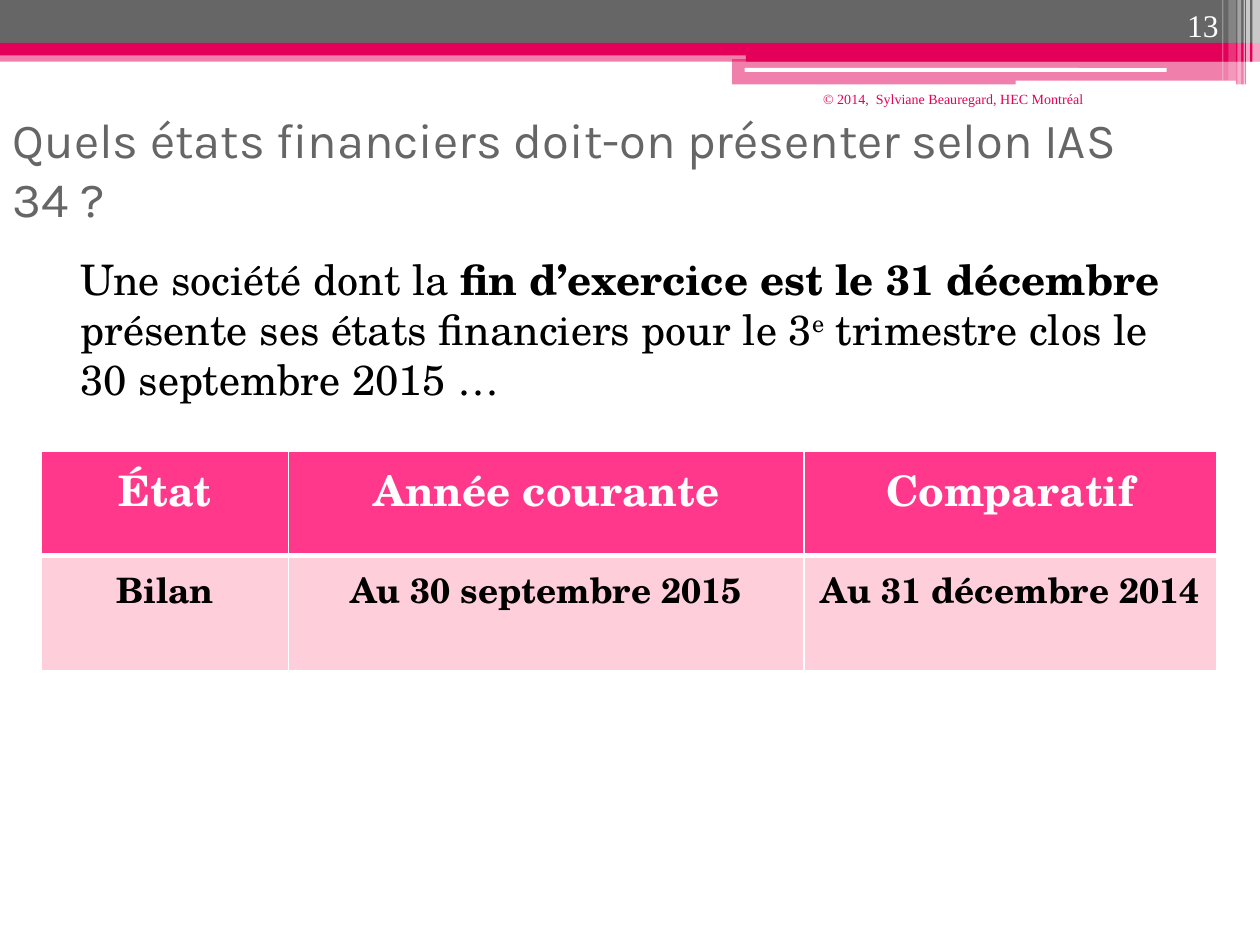
from dataclasses import dataclass

from lxml import etree
from pptx import Presentation
from pptx.dml.color import RGBColor
from pptx.enum.shapes import MSO_SHAPE
from pptx.enum.text import MSO_ANCHOR, PP_ALIGN
from pptx.oxml.ns import qn
from pptx.util import Inches, Pt

RECT = MSO_SHAPE.RECTANGLE
ROUND = MSO_SHAPE.ROUNDED_RECTANGLE
LEFT, CENTER, RIGHT = PP_ALIGN.LEFT, PP_ALIGN.CENTER, PP_ALIGN.RIGHT
TOP, MIDDLE, BOTTOM = MSO_ANCHOR.TOP, MSO_ANCHOR.MIDDLE, MSO_ANCHOR.BOTTOM

SANS, SCHOOL, TIMES = "Karla", "TeX Gyre Schola", "Times New Roman"
GREY, ROSE, WHITE, BLACK = "666666", "E40059", "FFFFFF", "000000"
HEAD, PALE = "FF388C", "FFCEDB"


@dataclass
class Band:
    left: float
    top: float
    width: float
    height: float
    color: str
    alpha: int = 100
    kind: int = RECT


@dataclass
class Part:
    text: str
    bold: bool = False
    base: int = 0


@dataclass
class Row:
    height: float
    texts: tuple
    size: int
    color: str
    fill: str
    upper: int
    lower: int


BANDS = [
    Band(0, 0.4, 10, 0.09, ROSE, 50),
    Band(0, 0, 10, 0.34, GREY),
    Band(0, 0.34, 10, 0.1, ROSE),
    Band(5.92, 0.39, 4.08, 0.1, ROSE),
    Band(5.81, 0.47, 4.08, 0.2, ROSE, 50),
    Band(5.91, 0.54, 3.35, 0.03, WHITE, kind=ROUND),
    Band(8.06, 0.64, 1.75, 0.04, WHITE, kind=ROUND),
    Band(9.94, 0, 0.06, 0.68, WHITE, 65),
    Band(9.89, 0, 0.03, 0.68, WHITE, 65),
    Band(9.87, 0, 0.01, 0.68, WHITE, 60),
    Band(9.82, 0, 0.03, 0.68, WHITE, 40),
    Band(9.75, 0, 0.06, 0.64, WHITE, 20),
    Band(9.7, 0, 0.01, 0.64, WHITE, 30),
]
INTRO = [
    Part("Une société dont la "),
    Part("fin d’exercice est le 31 décembre ", bold=True),
    Part("présente ses états financiers pour le 3"),
    Part("e", base=30),
    Part(" trimestre clos le 30 septembre 2015 …"),
]
COLS = [1.96, 4.09, 3.28]
ROWS = [
    Row(0.83, ("État", "Année courante", "Comparatif"), 24, WHITE, HEAD, 1, 3),
    Row(0.91, ("Bilan", "Au 30 septembre 2015", "Au 31 décembre 2014"),
        20, BLACK, PALE, 3, 1),
]


def paint(target, color: str) -> None:
    target.solid()
    target.fore_color.rgb = RGBColor.from_string(color)


def style(font, size: int, face: str, color: str, bold: bool = False) -> None:
    font.size = Pt(size)
    font.name = face
    font.bold = bold
    font.color.rgb = RGBColor.from_string(color)


def draw_band(slide, band: Band) -> None:
    box = [Inches(n) for n in (band.left, band.top, band.width, band.height)]
    shape = slide.shapes.add_shape(band.kind, *box)
    shape.shadow.inherit = False
    shape.line.fill.background()
    paint(shape.fill, band.color)
    if band.alpha < 100:
        tint = shape.fill._xPr.find(qn("a:solidFill"))[0]
        etree.SubElement(tint, qn("a:alpha"), val=str(band.alpha * 1000))


def write(frame, parts: list[Part], size: int, face: str, color: str,
          align: int = LEFT, anchor: int = TOP) -> None:
    frame.word_wrap = True
    frame.vertical_anchor = anchor
    para = frame.paragraphs[0]
    para.alignment = align
    for part in parts:
        run = para.add_run()
        run.text = part.text
        style(run.font, size, face, color, part.bold)
        if part.base:
            run._r.get_or_add_rPr().set("baseline", str(part.base * 1000))


def add_text(slide, left: float, top: float, width: float, height: float):
    box = slide.shapes.add_textbox(
        Inches(left), Inches(top), Inches(width), Inches(height))
    return box.text_frame


def add_edge(cell, side: str, width: int) -> None:
    props = cell._tc.get_or_add_tcPr()
    line = etree.SubElement(props, qn(f"a:ln{side}"), w=str(Pt(width)))
    fill = etree.SubElement(line, qn("a:solidFill"))
    etree.SubElement(fill, qn("a:srgbClr"), val=WHITE)


def draw_table(slide) -> None:
    high = sum(row.height for row in ROWS)
    table = slide.shapes.add_table(
        len(ROWS), len(COLS), Inches(0.33), Inches(3.58),
        Inches(sum(COLS)), Inches(high)).table
    for col, width in zip(table.columns, COLS):
        col.width = Inches(width)
    for line, row in zip(table.rows, ROWS):
        line.height = Inches(row.height)
        for cell, text in zip(line.cells, row.texts):
            edges = {"L": 1, "R": 1, "T": row.upper, "B": row.lower}
            for side, width in edges.items():
                add_edge(cell, side, width)
            paint(cell.fill, row.fill)
            cell.text_frame.text = text
            para = cell.text_frame.paragraphs[0]
            para.alignment = CENTER
            style(para.runs[0].font, row.size, SCHOOL, row.color, True)


def main() -> None:
    deck = Presentation()
    deck.slide_width, deck.slide_height = Inches(10), Inches(7.5)
    slide = deck.slides.add_slide(deck.slide_layouts[5])
    for band in BANDS:
        draw_band(slide, band)

    title = slide.shapes.title
    title.left, title.top = Inches(0), Inches(0.83)
    title.width, title.height = Inches(9.75), Inches(1.02)
    heading = Part("Quels états financiers doit-on présenter selon IAS 34 ?")
    write(title.text_frame, [heading], 28, SANS, GREY, anchor=MIDDLE)

    body = add_text(slide, 0.42, 1.96, 9, 5.24)
    body.margin_left = Inches(0.22)
    write(body, INTRO, 24, SCHOOL, BLACK)

    draw_table(slide)

    credit = Part("© 2014,  Sylviane Beauregard, HEC Montréal")
    write(add_text(slide, 5.75, 0.67, 2.95, 0.32), [credit],
          8, TIMES, ROSE, RIGHT)
    write(add_text(slide, 8.94, 0, 0.83, 0.4), [Part("13")],
          18, TIMES, WHITE, RIGHT, BOTTOM)
    deck.save("out.pptx")


if __name__ == "__main__":
    main()
